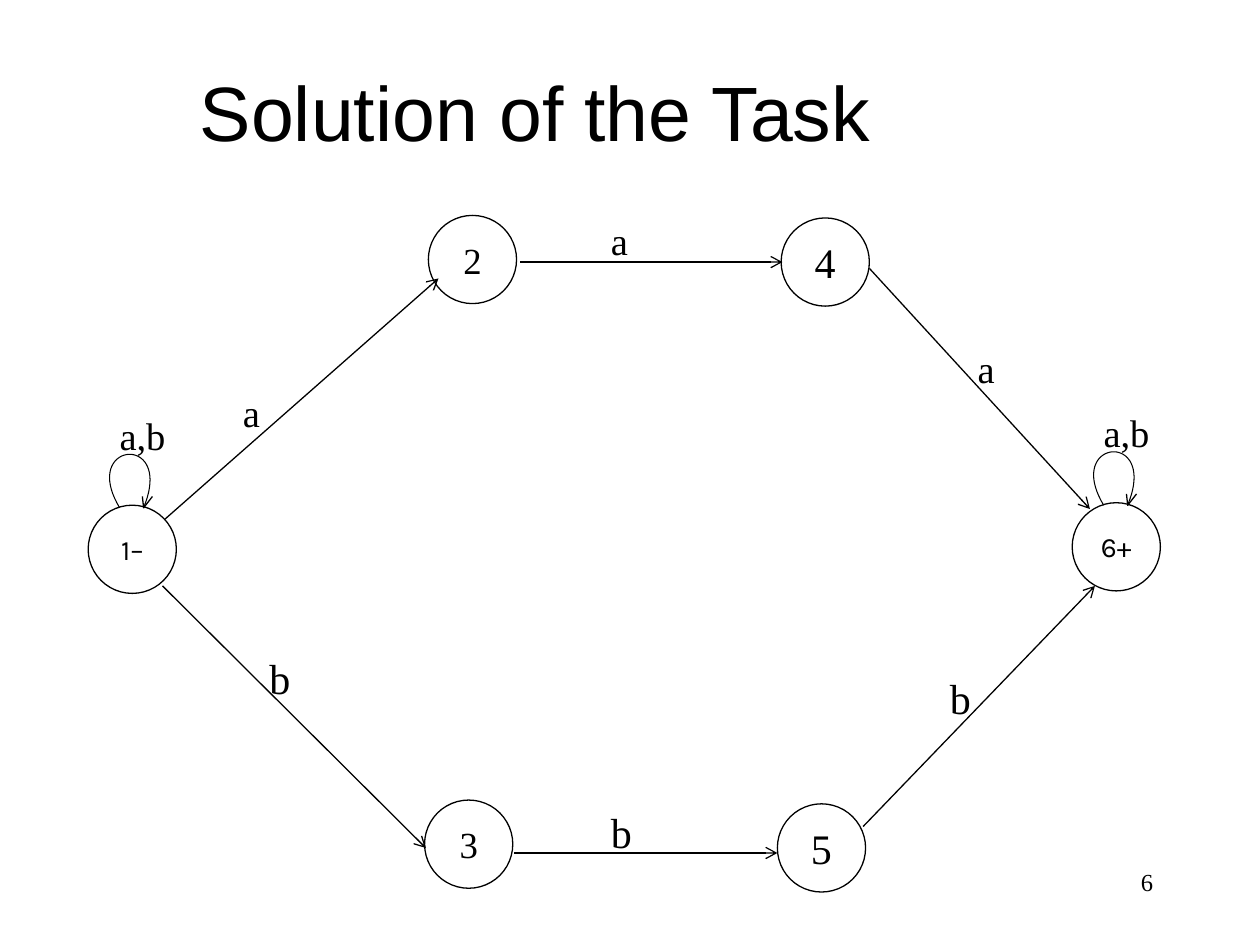
import pptx
import pptx.util
import pptx.dml.color
import pptx.enum.shapes
import pptx.enum.text
import pptx.oxml

Inches = pptx.util.Inches
Pt = pptx.util.Pt
ALIGN = pptx.enum.text.PP_ALIGN
ANCHOR = pptx.enum.text.MSO_ANCHOR

COLORS = {"ink": "000000", "paper": "FFFFFF"}
SERIF, SANS, STATE = "Times New Roman", "Arial", "Karla"
DIAMETER = 0.7
LABEL_SIZE = (0.98, 0.67)

# text, left, top, font, size
states = [
    ("1–", 0.7, 4.01, STATE, 16),
    ("2", 3.4, 1.71, SERIF, 21),
    ("3", 3.37, 6.35, SERIF, 21),
    ("4", 6.2, 1.73, SERIF, 24),
    ("5", 6.17, 6.38, SERIF, 24),
    ("6+", 8.51, 3.99, STATE, 16),
]
looping_states = ("1–", "6+")

# start, end, label, label corner, label size
transitions = [
    ((1.31, 4.12), (3.48, 2.21), "a", (1.83, 3.04), 22),
    ((1.29, 4.65), (3.38, 6.73), "b", (2.04, 5.13), 24),
    ((4.13, 2.08), (6.21, 2.08), "a", (4.75, 1.67), 22),
    ((4.08, 6.77), (6.17, 6.77), "b", (4.75, 6.35), 24),
    ((6.9, 2.13), (8.65, 4.04), "a", (7.66, 2.69), 22),
    ((6.85, 6.56), (8.69, 4.65), "b", (7.44, 5.29), 24),
]

# Offsets from the centre of the state
LOOP_CURVE = [(-0.1, -0.33), (-0.42, -0.86), (0.34, -0.93), (0.09, -0.33)]
LOOP_HEAD = [(0.08, -0.42), (0.09, -0.33), (0.16, -0.42)]
LOOP_LABEL = (-0.2, -1.14)


def color(name):
    return pptx.dml.color.RGBColor.from_string(COLORS[name])


def set_line(shape, width=0.75):
    shape.line.color.rgb = color("ink")
    shape.line.width = Pt(width)


def write(frame, text, font, size, align, anchor):
    frame.vertical_anchor = anchor
    para = frame.paragraphs[0]
    para.alignment = align
    span = para.add_run()
    span.text = text
    span.font.name = font
    span.font.size = Pt(size)
    span.font.color.rgb = color("ink")


def add_text(page, corner, extent, text, size, font=SERIF,
             align=ALIGN.LEFT, anchor=ANCHOR.TOP):
    box = page.shapes.add_textbox(*map(Inches, (*corner, *extent)))
    box.text_frame.word_wrap = True
    write(box.text_frame, text, font, size, align, anchor)


def add_state(page, text, left, top, font, size):
    circle = page.shapes.add_shape(
        pptx.enum.shapes.MSO_SHAPE.OVAL,
        *map(Inches, (left, top, DIAMETER, DIAMETER)))
    circle.shadow.inherit = False
    circle.fill.solid()
    circle.fill.fore_color.rgb = color("paper")
    set_line(circle)
    frame = circle.text_frame
    frame.word_wrap = False
    frame.margin_left = frame.margin_right = 0
    frame.margin_top = frame.margin_bottom = 0
    write(frame, text, font, size, ALIGN.CENTER, ANCHOR.MIDDLE)


def add_arrow(page, start, end):
    arrow = page.shapes.add_connector(
        pptx.enum.shapes.MSO_CONNECTOR.STRAIGHT, *map(Inches, (*start, *end)))
    set_line(arrow)
    tail = pptx.oxml.parse_xml(
        '<a:tailEnd xmlns:a="http://schemas.openxmlformats.org/drawingml/2006/main"'
        ' type="arrow" w="med" len="med"/>')
    arrow.line._get_or_add_ln().append(tail)
    effects = pptx.oxml.parse_xml(
        '<a:effectLst xmlns:a="http://schemas.openxmlformats.org/drawingml/2006/main"/>')
    arrow._element.spPr.append(effects)


def bezier(points, steps=40):
    """Points along a cubic curve with the four given control points."""
    for step in range(steps + 1):
        t = step / steps
        weights = ((1 - t) ** 3, 3 * t * (1 - t) ** 2, 3 * t ** 2 * (1 - t), t ** 3)
        yield tuple(sum(w * p[axis] for w, p in zip(weights, points))
                    for axis in (0, 1))


def add_outline(page, center, offsets, width):
    points = [(Inches(center[0] + x), Inches(center[1] + y)) for x, y in offsets]
    builder = page.shapes.build_freeform(*points[0])
    builder.add_line_segments(points[1:], close=False)
    outline = builder.convert_to_shape()
    outline.shadow.inherit = False
    outline.fill.background()
    set_line(outline, width)


def add_loop(page, center):
    add_outline(page, center, list(bezier(LOOP_CURVE)), 0.6)
    add_outline(page, center, LOOP_HEAD, 0.75)
    corner = (center[0] + LOOP_LABEL[0], center[1] + LOOP_LABEL[1])
    add_text(page, corner, LABEL_SIZE, "a,b", 22)


def main():
    deck = pptx.Presentation()
    deck.slide_width, deck.slide_height = Inches(10), Inches(7.5)
    page = deck.slides.add_slide(deck.slide_layouts[6])

    add_text(page, (0, 0.25), (8.5, 1.25), "Solution of the Task", 44, SANS,
             ALIGN.CENTER, ANCHOR.MIDDLE)
    add_text(page, (7.17, 6.83), (2.08, 0.5), "6", 14, align=ALIGN.RIGHT)

    for text, left, top, font, size in states:
        add_state(page, text, left, top, font, size)
        if text in looping_states:
            add_loop(page, (left + DIAMETER / 2, top + DIAMETER / 2))

    for start, end, label, corner, size in transitions:
        add_arrow(page, start, end)
        add_text(page, corner, LABEL_SIZE, label, size)

    deck.save("out.pptx")


if __name__ == "__main__":
    main()
